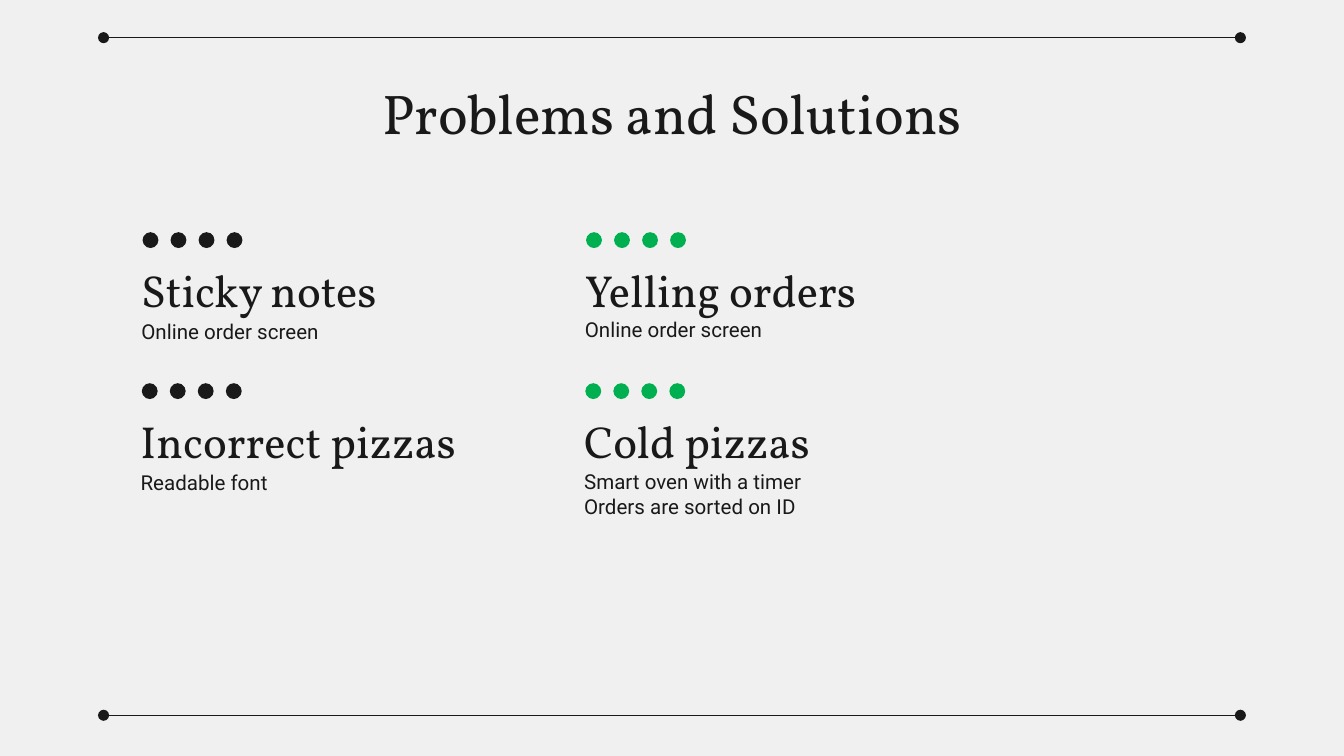
from pptx import Presentation
from pptx.dml.color import RGBColor
from pptx.enum.shapes import MSO_CONNECTOR, MSO_SHAPE
from pptx.enum.text import MSO_ANCHOR, PP_ALIGN
from pptx.oxml.ns import qn
from pptx.util import Pt
from lxml import etree

OVAL, STRAIGHT = MSO_SHAPE.OVAL, MSO_CONNECTOR.STRAIGHT
TOP, BOTTOM = MSO_ANCHOR.TOP, MSO_ANCHOR.BOTTOM
LEFT, CENTER = PP_ALIGN.LEFT, PP_ALIGN.CENTER
PAPER = RGBColor(0xF0, 0xF0, 0xF0)
INK = RGBColor(0x19, 0x19, 0x19)
GREEN = RGBColor(0x00, 0xB0, 0x50)

prs = Presentation()
prs.slide_width, prs.slide_height = Pt(720), Pt(405)
s = prs.slides.add_slide(prs.slide_layouts[6])
s.background.fill.solid()
s.background.fill.fore_color.rgb = PAPER


def add_text(x, y, w, h, lines, font, size, anchor=TOP, align=LEFT):
    tf = s.shapes.add_textbox(Pt(x), Pt(y), Pt(w), Pt(h)).text_frame
    tf.word_wrap = True
    tf.vertical_anchor = anchor
    tf.margin_left = tf.margin_right = tf.margin_top = tf.margin_bottom = Pt(7.2)
    for i, line in enumerate(lines):
        p = tf.add_paragraph() if i else tf.paragraphs[0]
        p.alignment = align
        r = p.add_run()
        r.text = line
        r.font.name, r.font.size = font, Pt(size)
        r.font.color.rgb = INK


# Heading
add_text(56.7, 35, 606.6, 45.1, ["Problems and Solutions"], "Vollkorn", 30,
         align=CENTER)

# Top and bottom rules with round ends
for y in (20.2, 383.2):
    rule = s.shapes.add_connector(STRAIGHT, Pt(55.5), Pt(y), Pt(664.5), Pt(y))
    rule.line.color.rgb = INK
    rule.line.width = Pt(0.75)
    ln = rule.line._get_or_add_ln()
    for end in ("a:headEnd", "a:tailEnd"):
        etree.SubElement(ln, qn(end)).set("type", "oval")
    etree.SubElement(rule._element.spPr, qn("a:effectLst"))

# Problems in a two by two grid: column, row, title width, title, solutions
problems = [
    (0, 0, 164, "Sticky notes", ["Online order screen"]),
    (1, 0, 193, "Yelling orders", ["Online order screen"]),
    (0, 1, 202, "Incorrect pizzas", ["Readable font"]),
    (1, 1, 193, "Cold pizzas", ["Smart oven with a timer", "Orders are sorted on ID"]),
]
for col, row, width, title, solutions in problems:
    x = 68.6 + 237.6 * col - 0.4 * row
    y = 124.4 + 80.9 * row

    # Row of four dots
    for i in range(4):
        dot = s.shapes.add_shape(OVAL, Pt(x + 7.8 + 15 * i), Pt(y), Pt(8.5), Pt(8.5))
        dot.shadow.inherit = False
        dot.fill.solid()
        dot.fill.fore_color.rgb = GREEN if col else INK
        dot.line.fill.background()

    # Problem and its solutions
    add_text(x, y + 10.5, width, 41.8, [title], "Vollkorn", 24, anchor=BOTTOM)
    add_text(x, y + 39.7 - col, 137.5, 45.4, solutions, "Roboto", 11)

prs.save("out.pptx")
